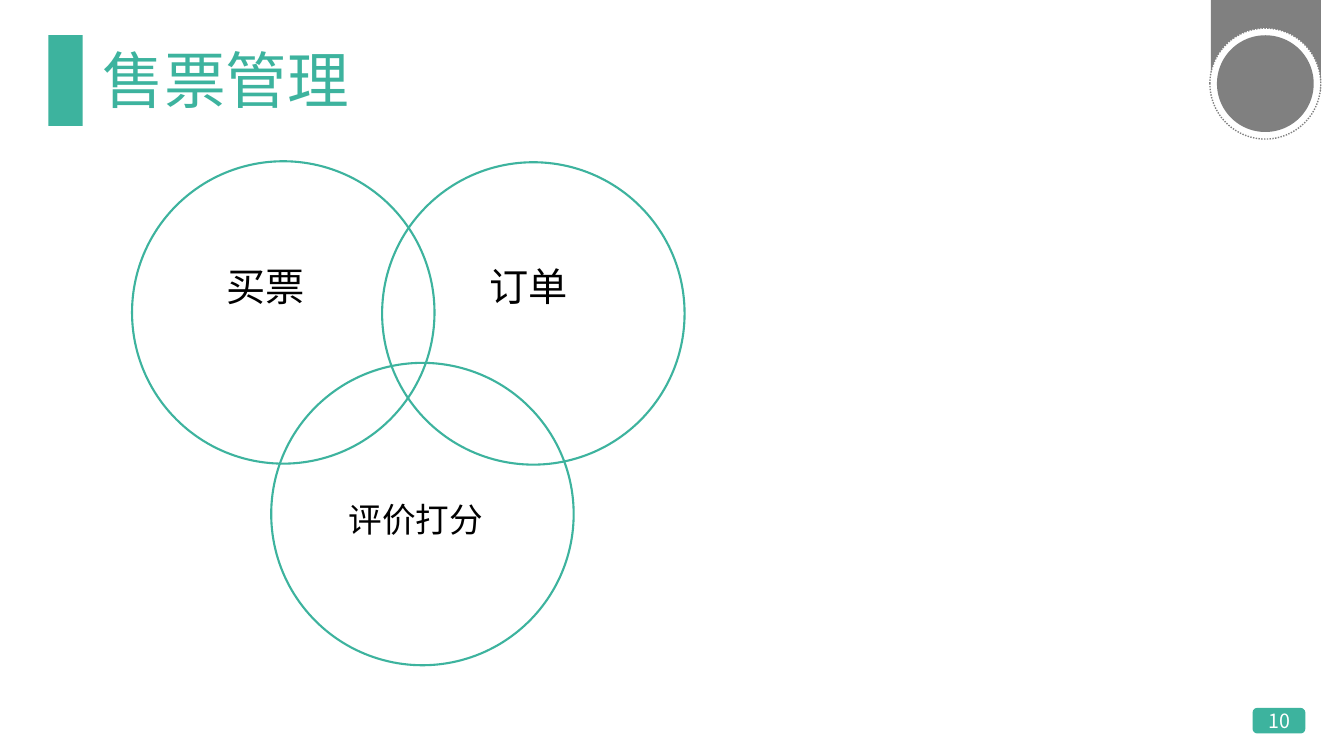
from lxml.etree import SubElement
from pptx import Presentation
from pptx.dml.color import RGBColor
from pptx.enum.dml import MSO_LINE
from pptx.enum.shapes import MSO_SHAPE
from pptx.enum.text import MSO_ANCHOR, PP_ALIGN
from pptx.oxml.ns import qn
from pptx.util import Pt

SCALE = 9144  # EMU per px, 100 px to the inch
GREEN, GRAY, WHITE, BLACK = "3DB39E", "808080", "FFFFFF", "000000"
SANS = "Noto Sans CJK SC"


def px(*nums):
    return [n * SCALE for n in nums]


def tint(code):
    return RGBColor.from_string(code)


def write(frame, text, size, color=BLACK, font="Calibri", align=PP_ALIGN.LEFT,
          anchor=MSO_ANCHOR.TOP, space=None):
    frame.word_wrap = True
    frame.vertical_anchor = anchor
    para = frame.paragraphs[0]
    para.alignment = align
    para.line_spacing = space
    run = para.add_run()
    run.text = text
    run.font.name = font
    run.font.size = Pt(size)
    run.font.color.rgb = tint(color)
    SubElement(run.font._element, qn("a:ea"), typeface=SANS)


class Deck:
    def __init__(self, width, height):
        self.prs = Presentation()
        self.prs.slide_width, self.prs.slide_height = px(width, height)
        self.slide = self.prs.slides.add_slide(self.prs.slide_layouts[6])

    def shape(self, kind, box, fill=None, line=None, width=1, dash=None):
        item = self.slide.shapes.add_shape(kind, *px(*box))
        item.shadow.inherit = False
        if fill:
            item.fill.solid()
            item.fill.fore_color.rgb = tint(fill)
        else:
            item.fill.background()
        if line:
            item.line.color.rgb = tint(line)
            item.line.width = Pt(width)
            if dash:
                item.line.dash_style = dash
        else:
            item.line.fill.background()

    def text(self, box, text, size, **style):
        item = self.slide.shapes.add_textbox(*px(*box))
        write(item.text_frame, text, size, **style)


def main():
    deck = Deck(1333, 750)

    # Page frame: number badge, title bar, corner ribbon with seal
    deck.shape(MSO_SHAPE.ROUNDED_RECTANGLE, (1243, 703, 51, 24), GREEN, GREEN)
    deck.shape(MSO_SHAPE.RECTANGLE, (48, 35, 34, 90), GREEN)
    deck.shape(MSO_SHAPE.RECTANGLE, (1201, 0, 109, 91), GRAY)
    deck.shape(MSO_SHAPE.OVAL, (1200, 28, 110, 110), WHITE, GRAY,
               dash=MSO_LINE.ROUND_DOT)
    deck.shape(MSO_SHAPE.OVAL, (1207, 35, 96, 96), GRAY)

    # Title and page number
    deck.text((92, 40, 1150, 85), "售票管理", 44, color=GREEN, font=SANS,
              anchor=MSO_ANCHOR.MIDDLE, space=0.9)
    deck.text((1119, 695, 300, 40), "10", 14, color=WHITE, font=SANS,
              align=PP_ALIGN.CENTER, anchor=MSO_ANCHOR.MIDDLE)

    # Three overlapping circles
    for left, top in ((131, 160), (269, 360), (379, 161)):
        deck.shape(MSO_SHAPE.OVAL, (left, top, 300, 300), line=GREEN, width=1.5)

    # Circle labels
    for box, label, size in (
        ((476, 255, 165, 57), "订单", 28),
        ((215, 255, 138, 57), "买票", 28),
        ((336, 490, 185, 50), "评价打分", 24),
    ):
        deck.text(box, label, size)

    deck.prs.save("out.pptx")


if __name__ == "__main__":
    main()
